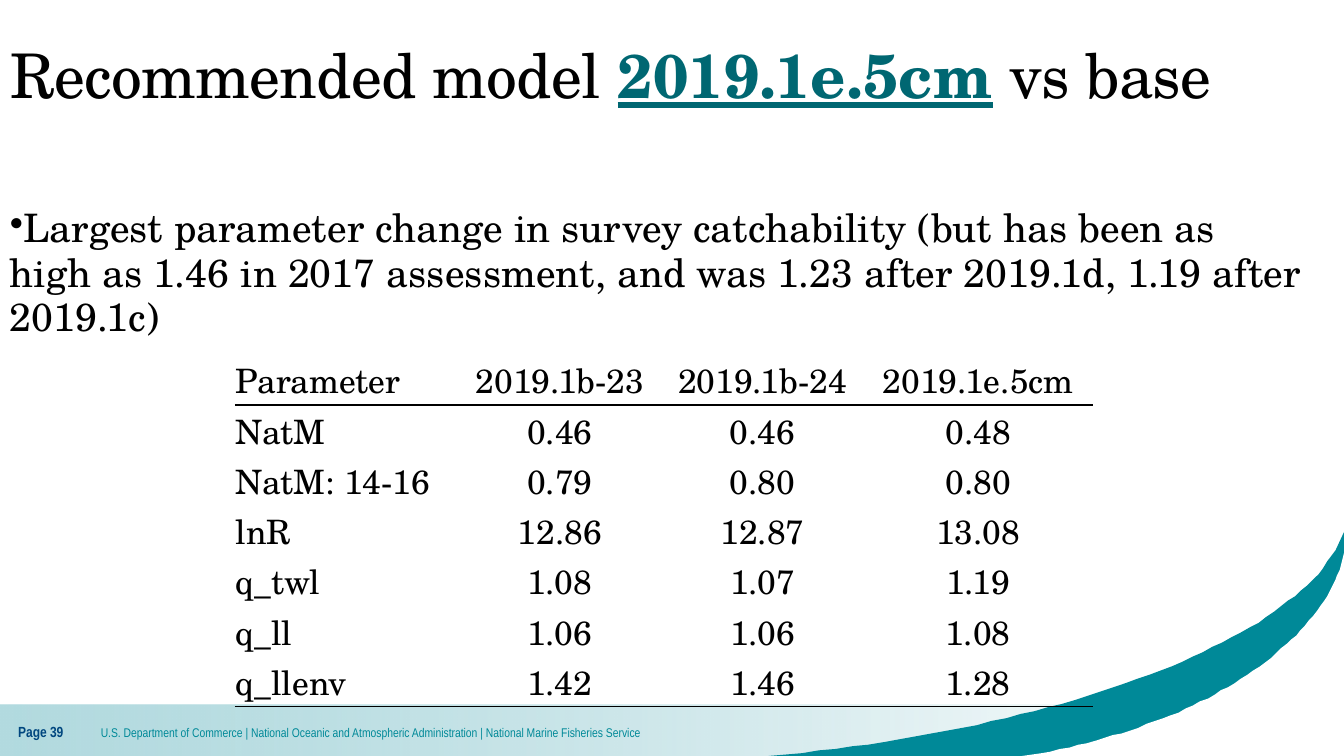
from typing import NamedTuple

import pptx
import pptx.dml.color
import pptx.enum.dml
import pptx.enum.shapes
import pptx.enum.text
import pptx.oxml
import pptx.oxml.ns
import pptx.util

Pt = pptx.util.Pt
RGBColor = pptx.dml.color.RGBColor
Align = pptx.enum.text.PP_ALIGN
Anchor = pptx.enum.text.MSO_ANCHOR

BLACK = RGBColor(0x00, 0x00, 0x00)
WHITE = RGBColor(0xFF, 0xFF, 0xFF)
TEAL = RGBColor(0x00, 0x89, 0x98)
DARK_TEAL = RGBColor(0x00, 0x67, 0x72)
NAVY = RGBColor(0x00, 0x46, 0x7F)
STRIP_CLEAR = RGBColor(0x84, 0xC4, 0xCC)
STRIP_PALE = RGBColor(0xB3, 0xDB, 0xE0)

SERIF = "TeX Gyre Schola"
NARROW = "Arial Narrow"
SLIDE_WIDTH, SLIDE_HEIGHT = 960, 540
NO_TABLE_STYLE = "{2D5ABB26-0587-4C30-8999-92F81FD0307C}"

Point = tuple[float, float]


class Box(NamedTuple):
    left: float
    top: float
    width: float
    height: float

    def lengths(self) -> list[pptx.util.Length]:
        return [Pt(value) for value in self]


class Swoosh(NamedTuple):
    """A region of the lower right corner, bounded above by one Bézier curve."""
    color: RGBColor
    foot: Point
    edge: Point
    curve: tuple[Point, Point, Point, Point]


class FooterText(NamedTuple):
    box: Box
    text: str
    size: float
    color: RGBColor
    bold: bool


SWOOSHES = [
    Swoosh(TEAL, (548.64, 540), (960, 380.16),
           ((954, 393.12), (912.96, 460.08), (766.08, 515.52), (573.12, 537.84))),
    Swoosh(WHITE, (730.08, 540), (960, 395.28),
           ((956.88, 406.8), (933.84, 468), (851.04, 517.68), (743.76, 537.84))),
]
FOOTER_TEXTS = [
    FooterText(Box(72, 501.84, 703.44, 42.48),
               "U.S. Department of Commerce | National Oceanic and Atmospheric "
               "Administration | National Marine Fisheries Service", 9, TEAL, False),
    FooterText(Box(12.96, 500.4, 59.04, 43.92), "Page 39", 10.5, NAVY, True),
]
PARAMETERS = [
    ("Parameter", "2019.1b-23", "2019.1b-24", "2019.1e.5cm"),
    ("NatM", "0.46", "0.46", "0.48"),
    ("NatM: 14-16", "0.79", "0.80", "0.80"),
    ("lnR", "12.86", "12.87", "13.08"),
    ("q_twl", "1.08", "1.07", "1.19"),
    ("q_ll", "1.06", "1.06", "1.08"),
    ("q_llenv", "1.42", "1.46", "1.28"),
]
COLUMN_WIDTHS = [159.84, 144.72, 144.72, 163.44]
ROW_HEIGHT = 35.85


def add_text(paragraph, text: str, *, size: float, font: str = SERIF,
             color: RGBColor = BLACK, bold: bool = False,
             underline: bool = False, spacing: float = 0) -> None:
    run = paragraph.add_run()
    run.text = text
    run.font.size = Pt(size)
    run.font.name = font
    run.font.color.rgb = color
    run.font.bold = bold
    run.font.underline = underline
    if spacing:
        run.font._element.set("spc", str(round(spacing * 100)))


def set_frame(frame, anchor: Anchor, side: float, vertical: float) -> None:
    frame.word_wrap = True
    frame.auto_size = pptx.enum.text.MSO_AUTO_SIZE.NONE
    frame.vertical_anchor = anchor
    frame.margin_left = frame.margin_right = Pt(side)
    frame.margin_top = frame.margin_bottom = Pt(vertical)


def bezier_points(curve: tuple[Point, Point, Point, Point], steps: int = 48) -> list[Point]:
    points = []
    for step in range(steps + 1):
        t = step / steps
        weights = ((1 - t) ** 3, 3 * t * (1 - t) ** 2, 3 * t ** 2 * (1 - t), t ** 3)
        points.append(tuple(sum(w * p[axis] for w, p in zip(weights, curve))
                            for axis in (0, 1)))
    return points


def draw_swoosh(slide, swoosh: Swoosh) -> None:
    outline = [(SLIDE_WIDTH, SLIDE_HEIGHT), swoosh.edge, *bezier_points(swoosh.curve)]
    builder = slide.shapes.build_freeform(*swoosh.foot, scale=Pt(1))
    builder.add_line_segments(outline, close=True)
    shape = builder.convert_to_shape()
    shape.shadow.inherit = False
    shape.fill.solid()
    shape.fill.fore_color.rgb = swoosh.color
    shape.line.fill.background()


def draw_footer_strip(slide) -> None:
    strip = slide.shapes.add_shape(pptx.enum.shapes.MSO_SHAPE.RECTANGLE,
                                   *Box(0, 503.28, SLIDE_WIDTH, 36.72).lengths())
    strip.shadow.inherit = False
    strip.line.fill.background()
    strip.fill.gradient()
    strip.fill.gradient_angle = 180
    clear, pale = strip.fill.gradient_stops
    clear.color.rgb, clear.position = STRIP_CLEAR, 0.08
    pale.color.rgb, pale.position = STRIP_PALE, 1
    clear_color = strip._element.xpath(".//a:gs/a:srgbClr")[0]
    clear_color.append(pptx.oxml.parse_xml(
        f'<a:alpha {pptx.oxml.ns.nsdecls("a")} val="0"/>'))


def draw_footer_text(slide, footer: FooterText) -> None:
    frame = slide.shapes.add_textbox(*footer.box.lengths()).text_frame
    set_frame(frame, Anchor.MIDDLE, 0, 0)
    add_text(frame.paragraphs[0], footer.text, size=footer.size, font=NARROW,
             color=footer.color, bold=footer.bold)


def draw_title(slide) -> None:
    title = slide.shapes.title
    title.left, title.top, title.width, title.height = Box(0, 28.8, 924.48, 104.4).lengths()
    set_frame(title.text_frame, Anchor.TOP, 7.2, 3.6)
    heading = title.text_frame.paragraphs[0]
    heading.alignment = Align.LEFT
    heading.line_spacing = 0.9
    add_text(heading, "Recommended model ", size=44, spacing=-0.5)
    add_text(heading, "2019.1e.5cm", size=44, color=DARK_TEAL, bold=True,
             underline=True, spacing=0.1)
    add_text(heading, " vs base", size=44, spacing=-0.5)


def draw_finding(slide) -> None:
    frame = slide.shapes.add_textbox(*Box(0, 144, 938.16, 342.72).lengths()).text_frame
    set_frame(frame, Anchor.TOP, 7.2, 3.6)
    finding = frame.paragraphs[0]
    finding._p.get_or_add_pPr().append(pptx.oxml.parse_xml(
        f'<a:buChar {pptx.oxml.ns.nsdecls("a")} char="•"/>'))
    finding.line_spacing = 0.95
    add_text(finding, "Largest parameter change in survey catchability (but has been as "
             "high as 1.46 in 2017 assessment, and was 1.23 after 2019.1d, 1.19 after "
             "2019.1c)", size=28, spacing=0.1)


def rule_below(cell) -> None:
    cell._tc.get_or_add_tcPr().insert(0, pptx.oxml.parse_xml(
        f'<a:lnB {pptx.oxml.ns.nsdecls("a")} w="12700"><a:solidFill>'
        f'<a:srgbClr val="{BLACK}"/></a:solidFill></a:lnB>'))


def draw_parameters(slide) -> None:
    box = Box(167.76, 253.44, sum(COLUMN_WIDTHS), ROW_HEIGHT * len(PARAMETERS))
    frame = slide.shapes.add_table(len(PARAMETERS), len(COLUMN_WIDTHS), *box.lengths())
    table = frame.table
    table.first_row = table.horz_banding = False
    frame._element.xpath(".//a:tableStyleId")[0].text = NO_TABLE_STYLE
    for column, width in zip(table.columns, COLUMN_WIDTHS):
        column.width = Pt(width)
    for row_index, values in enumerate(PARAMETERS):
        table.rows[row_index].height = Pt(ROW_HEIGHT)
        for column_index, value in enumerate(values):
            cell = table.cell(row_index, column_index)
            cell.fill.background()
            cell.vertical_anchor = Anchor.BOTTOM
            cell.margin_left = cell.margin_right = cell.margin_top = Pt(0.72)
            cell.margin_bottom = Pt(0)
            paragraph = cell.text_frame.paragraphs[0]
            paragraph.alignment = Align.CENTER if column_index else Align.LEFT
            add_text(paragraph, value, size=24)
            if row_index in (0, len(PARAMETERS) - 1):
                rule_below(cell)


def main() -> None:
    deck = pptx.Presentation()
    deck.slide_width, deck.slide_height = Pt(SLIDE_WIDTH), Pt(SLIDE_HEIGHT)
    slide = deck.slides.add_slide(deck.slide_layouts.get_by_name("Title Only"))
    draw_footer_strip(slide)
    for footer in FOOTER_TEXTS:
        draw_footer_text(slide, footer)
    for swoosh in SWOOSHES:
        draw_swoosh(slide, swoosh)
    draw_title(slide)
    draw_finding(slide)
    draw_parameters(slide)
    deck.save("out.pptx")


if __name__ == "__main__":
    main()
